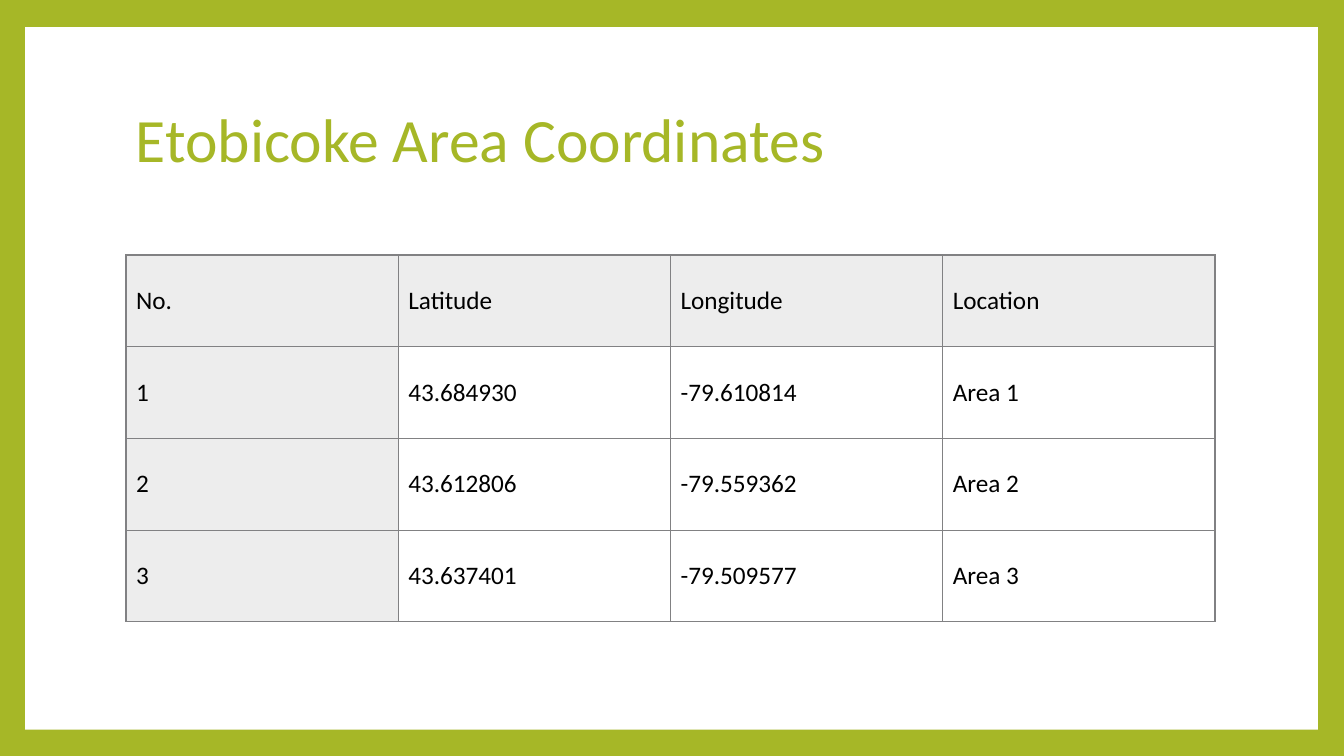
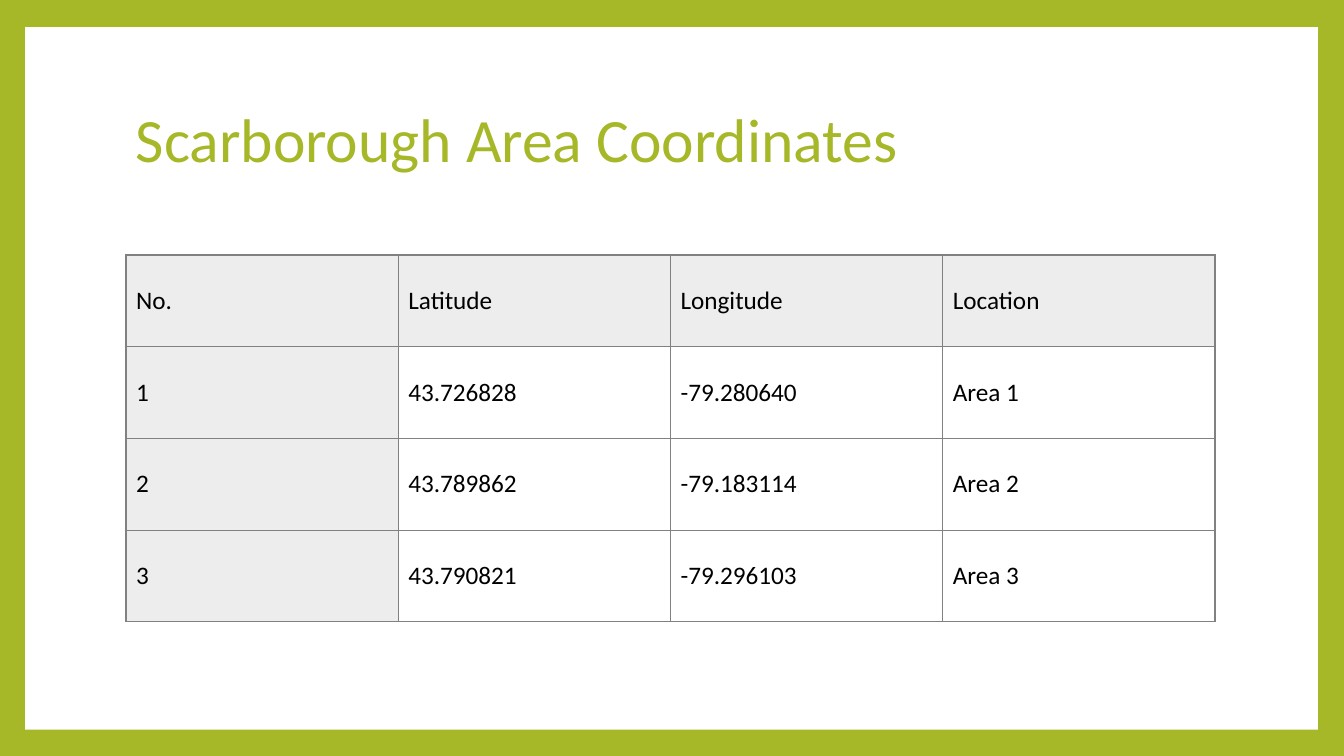
from pptx import Presentation
from pptx.dml.color import RGBColor
from pptx.enum import shapes, text
from pptx.oxml import parse_xml
from pptx.oxml.ns import nsdecls
from pptx.util import Inches, Pt

FONT = "Calibri"
GREEN, WHITE, BLACK = "A6B727", "FFFFFF", "000000"
SHADE, RULE = "EDEDED", "818183"

PANEL_BOX = (0.25, 0.27, 12.82, 6.97)
TITLE_BOX = (1.25, 0.67, 10.8, 1.48)
TABLE_BOX = (1.25, 2.53, 10.8, 3.64)

HEADER = ("No.", "Latitude", "Longitude", "Location")
AREAS = {
    "Etobicoke": [("43.684930", "-79.610814"),
                  ("43.612806", "-79.559362"),
                  ("43.637401", "-79.509577")],
    "Scarborough": [("43.726828", "-79.280640"),
                    ("43.789862", "-79.183114"),
                    ("43.790821", "-79.296103")],
}


def rgb(value):
    return RGBColor.from_string(value)


def inches(box):
    return [Inches(v) for v in box]


def write(tf, content, size=18, color=BLACK, spacing=None):
    p = tf.paragraphs[0]
    p.line_spacing = spacing
    r = p.add_run()
    r.text = content
    r.font.name, r.font.size = FONT, Pt(size)
    r.font.color.rgb = rgb(color)


def add_panel(s, box):
    sp = s.shapes.add_shape(shapes.MSO_SHAPE.RECTANGLE, *inches(box))
    sp.shadow.inherit = False
    sp.fill.solid()
    sp.fill.fore_color.rgb = rgb(WHITE)
    sp.line.fill.background()


def add_title(s, box, content):
    tf = s.shapes.add_textbox(*inches(box)).text_frame
    tf.word_wrap = True
    tf.vertical_anchor = text.MSO_ANCHOR.MIDDLE
    write(tf, content, size=44, color=GREEN, spacing=0.9)


def add_borders(cell, color, width):
    tc_pr = cell._tc.get_or_add_tcPr()
    for side in ("lnL", "lnR", "lnT", "lnB"):
        tc_pr.append(parse_xml(
            f'<a:{side} {nsdecls("a")} w="{Pt(width)}"><a:solidFill>'
            f'<a:srgbClr val="{color}"/></a:solidFill></a:{side}>'))


def add_grid(s, box, rows):
    table = s.shapes.add_table(len(rows), len(rows[0]), *inches(box)).table
    table.horz_banding = False
    table.first_col = True
    for i, row in enumerate(rows):
        for j, content in enumerate(row):
            cell = table.cell(i, j)
            cell.vertical_anchor = text.MSO_ANCHOR.MIDDLE
            add_borders(cell, RULE, 1)
            # Shade the header row and the number column
            cell.fill.solid()
            cell.fill.fore_color.rgb = rgb(WHITE if i and j else SHADE)
            write(cell.text_frame, content)
            cell.text_frame.paragraphs[0].runs[0].font.bold = False


def add_area_slide(prs, name, points):
    s = prs.slides.add_slide(prs.slide_layouts[6])
    add_panel(s, PANEL_BOX)
    add_title(s, TITLE_BOX, f"{name} Area Coordinates")
    rows = [(str(n), lat, lon, f"Area {n}")
            for n, (lat, lon) in enumerate(points, 1)]
    add_grid(s, TABLE_BOX, [HEADER, *rows])


def main():
    prs = Presentation()
    prs.slide_width, prs.slide_height = Inches(13.33), Inches(7.5)
    # Green frame shared by all slides
    fill = prs.slide_master.background.fill
    fill.solid()
    fill.fore_color.rgb = rgb(GREEN)
    for name, points in AREAS.items():
        add_area_slide(prs, name, points)
    prs.save("out.pptx")


if __name__ == "__main__":
    main()
